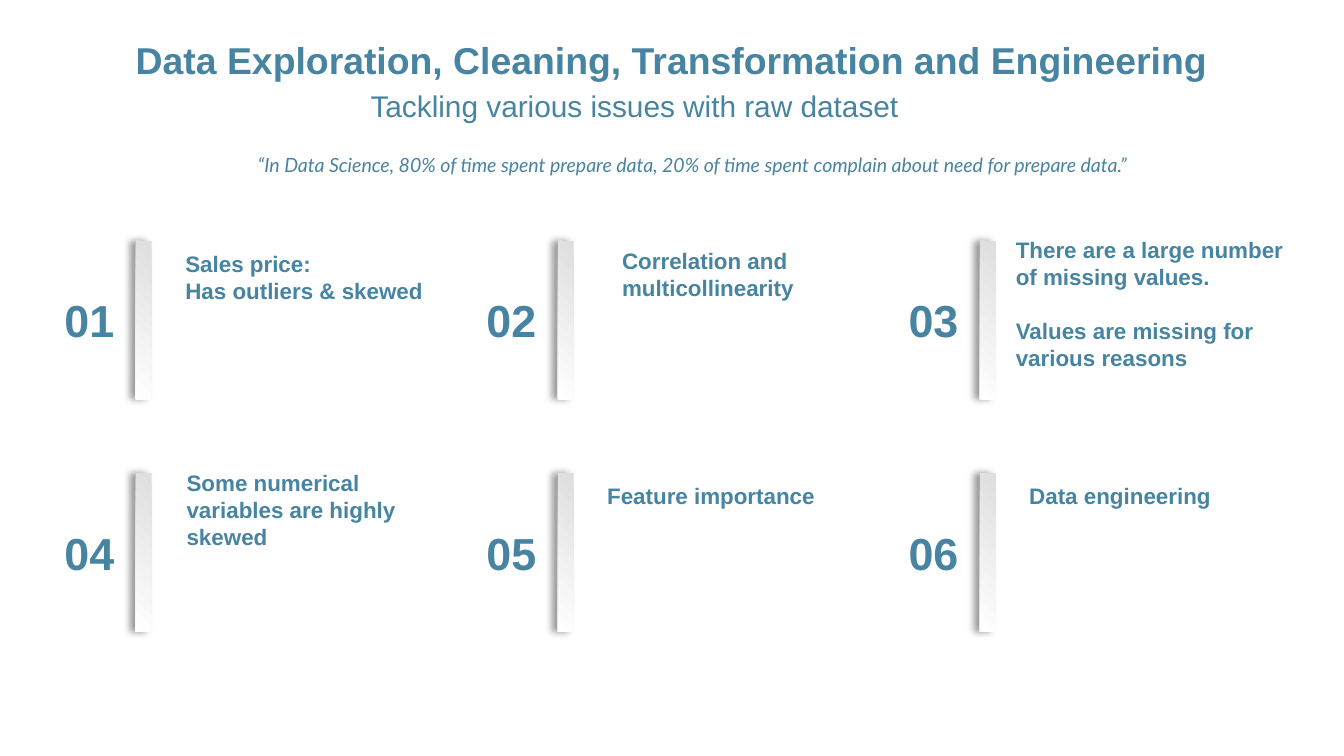
from pptx import Presentation
from pptx import util as u
from pptx.dml.color import RGBColor
from pptx.enum import shapes, text
from pptx.oxml import parse_xml
from pptx.oxml.ns import nsdecls, qn

Pt = u.Pt
LEFT, CENTER = text.PP_ALIGN.LEFT, text.PP_ALIGN.CENTER
TOP, MIDDLE = text.MSO_ANCHOR.TOP, text.MSO_ANCHOR.MIDDLE


def rgb(value):
    """Turn a hex string into a colour."""
    return RGBColor.from_string(value)


class Deck:
    """Holds the style and the current slide."""

    font, ink, grey, white = "Arial", "4784A1", "DEDEDE", "FFFFFF"

    def __init__(self, prs):
        """Add a title-only slide."""
        self.slide = prs.slides.add_slide(prs.slide_layouts[5])

    def set_text(self, sp, box, lines, size, bold=True, italic=False, font=None,
                 align=LEFT, anchor=TOP, pitch=None, gap=0):
        """Place a text shape and fill it with formatted paragraphs."""
        sp.left, sp.top, sp.width, sp.height = map(Pt, box)
        tf = sp.text_frame
        tf.text = "\n".join(lines)
        tf.word_wrap = True
        tf.auto_size = text.MSO_AUTO_SIZE.NONE
        tf.vertical_anchor = anchor
        for i, p in enumerate(tf.paragraphs):
            p.alignment = align
            if pitch:
                p.line_spacing = Pt(pitch)
            p.space_before = Pt(gap if i else 0)
            for r in p.runs:
                r.font.name = font or self.font
                r.font.size = Pt(size)
                r.font.bold, r.font.italic = bold, italic
                r.font.color.rgb = rgb(self.ink)

    def title(self, box, line, size):
        """Format the title placeholder."""
        self.set_text(self.slide.shapes.title, box, [line], size,
                      align=CENTER, anchor=MIDDLE)

    def label(self, box, lines, size, **style):
        """Add a text box."""
        sp = self.slide.shapes.add_textbox(*map(Pt, box))
        self.set_text(sp, box, lines, size, **style)

    def bar(self, box):
        """Add a gradient bar with a soft shadow on its left."""
        sp = self.slide.shapes.add_shape(
            shapes.MSO_SHAPE.RECTANGLE, *map(Pt, box))
        sp.line.fill.background()
        sp.fill.gradient()
        sp.fill.gradient_angle = 225
        for stop, place, colour in zip(sp.fill.gradient_stops, (0, 1),
                                       (self.grey, self.white)):
            stop.position, stop.color.rgb = place, rgb(colour)
        sp.shadow.inherit = False
        effects = sp._element.spPr.find(qn("a:effectLst"))
        effects.append(parse_xml(
            f'<a:outerShdw {nsdecls("a")} blurRad="{Pt(4)}" dist="{Pt(3)}" '
            'dir="10800000" algn="r" rotWithShape="0"><a:srgbClr val="000000">'
            '<a:alpha val="40000"/></a:srgbClr></a:outerShdw>'))


ISSUES = [
    (92.2, 130.3, ["Sales price:", "Has outliers & skewed"], 0),
    (326.2, 128.9, ["Correlation and multicollinearity"], 0),
    (537.1, 123.1, ["There are a large number of missing values.",
                    "Values are missing for various reasons"], 14.4),
    (92.9, 247.7, ["Some numerical variables are highly skewed"], 0),
    (318.2, 254.9, ["Feature importance"], 0),
    (544.3, 254.9, ["Data engineering"], 0),
]

prs = Presentation()
prs.slide_width, prs.slide_height = Pt(720), Pt(405)
deck = Deck(prs)
deck.title((0, 9.4, 720, 45.4),
           "Data Exploration, Cleaning, Transformation and Engineering", 20)
deck.label((0, 45.6, 680, 22.3), ["Tackling various issues with raw dataset"],
           16, bold=False, align=CENTER, anchor=MIDDLE)
deck.label((131, 78.5, 532, 21),
           ["“In Data Science, 80% of time spent prepare data, "
            "20% of time spent complain about need for prepare data.”"],
           10.5, bold=False, italic=True, font="Lato")
for i, (x, y, lines, gap) in enumerate(ISSUES):
    row, col = divmod(i, 3)
    left, top = 23.8 + 226.1 * col, 128.9 + 124.6 * row
    deck.label((left, top + 24.5, 48.2, 36), [f"{i + 1:02d}"], 24,
               align=CENTER, anchor=MIDDLE)
    deck.bar((left + 48.9, top, 8.6, 85))
    deck.label((x, y, 158.4, 21.6 + 14.4 * (len(lines) - 1)), lines, 12,
               pitch=14.4, gap=gap)
prs.save("out.pptx")
